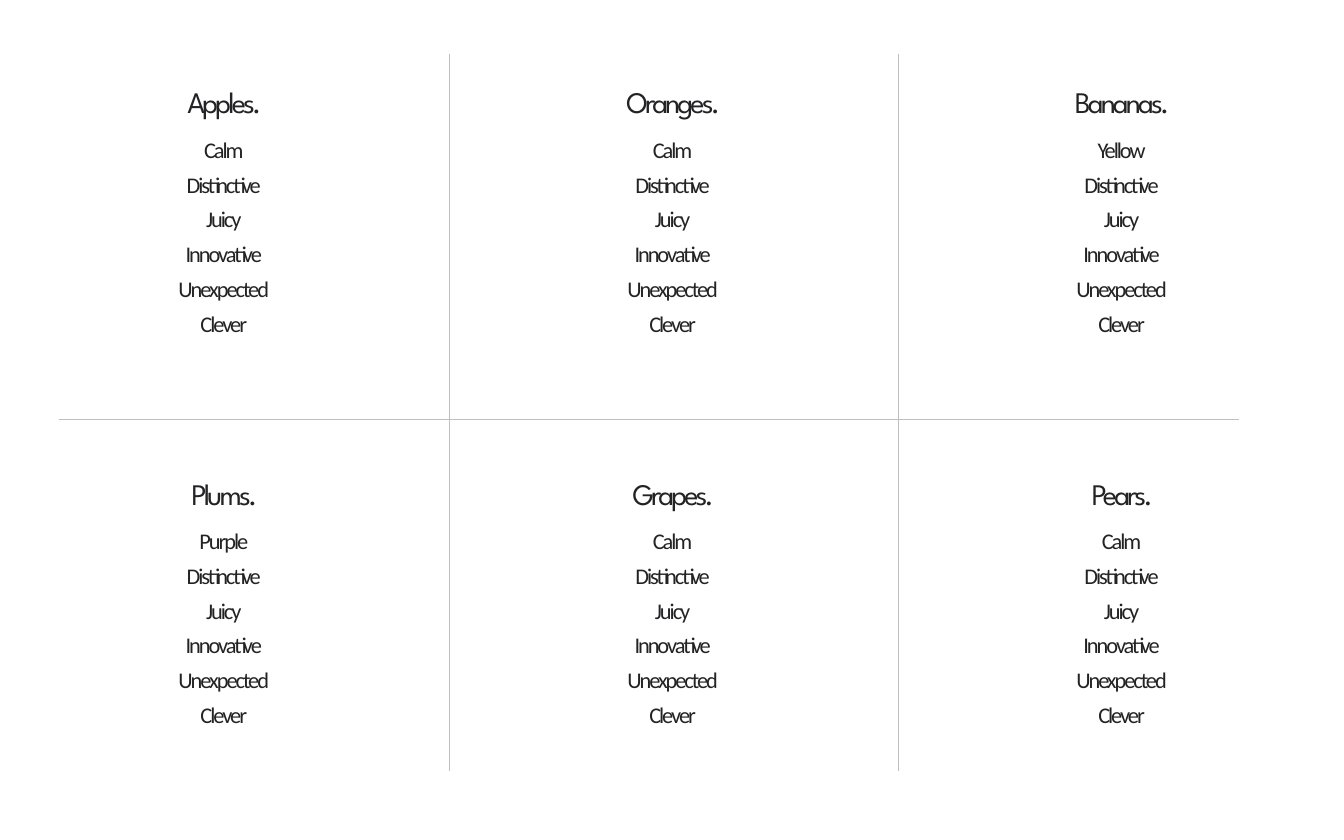
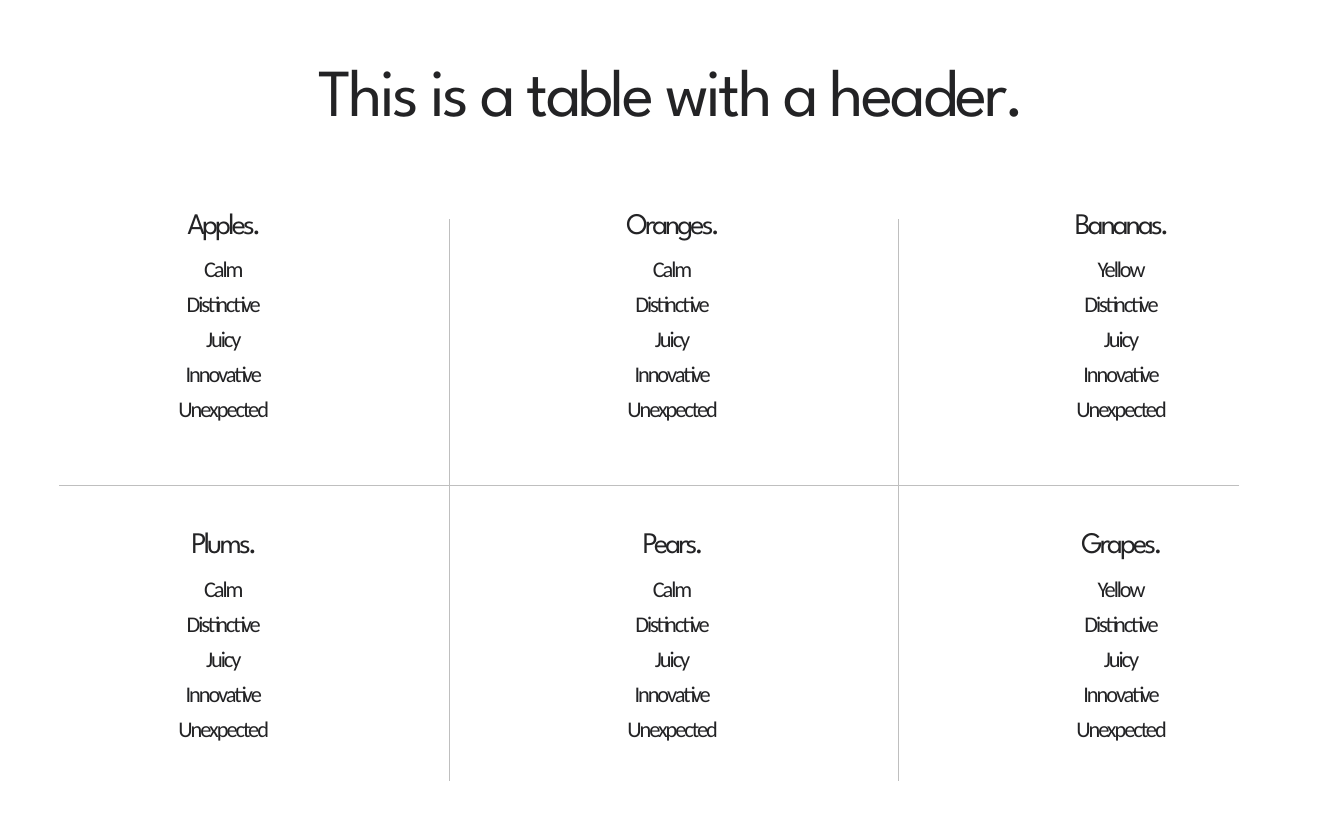
from pptx import Presentation
from pptx.dml.color import RGBColor
from pptx.enum.shapes import MSO_CONNECTOR
from pptx.enum.text import MSO_ANCHOR, MSO_AUTO_SIZE, PP_ALIGN
from pptx.oxml.ns import qn
from pptx.util import Inches, Pt
from lxml import etree

STRAIGHT = MSO_CONNECTOR.STRAIGHT
TOP = MSO_ANCHOR.TOP
NO_FIT = MSO_AUTO_SIZE.NONE
CENTER = PP_ALIGN.CENTER

INK, RULE = "232325", "BFBFBF"
HEAD_FONT, BODY_FONT = "League Spartan", "Calibri"
TITLE_ONLY, BLANK = 5, 6
COL_W = 3.34
LIST_INDENT, LIST_W = 0.32, 2.69
TRAITS = ["Distinctive", "Juicy", "Innovative", "Unexpected", "Clever"]


def write(sp, lines, box, font=HEAD_FONT, size=16, spacing=-1.5,
          line_spacing=1.0, side=0, top=0):
    """Place sp at box and fill it with centred lines; spacing is in points."""
    sp.left, sp.top, sp.width, sp.height = [Inches(v) for v in box]
    tf = sp.text_frame
    tf.word_wrap = True
    tf.auto_size = NO_FIT
    tf.vertical_anchor = TOP
    tf.margin_left = tf.margin_right = Inches(side)
    tf.margin_top, tf.margin_bottom = Inches(top), 0
    for i, line in enumerate(lines):
        p = tf.paragraphs[0] if i == 0 else tf.add_paragraph()
        p.alignment = CENTER
        p.line_spacing = line_spacing
        r = p.add_run()
        r.text = line
        r.font.name = font
        r.font.size = Pt(size)
        r.font.color.rgb = RGBColor.from_string(INK)
        r._r.get_or_add_rPr().set("spc", str(round(spacing * 100)))


def add_rule(slide, x1, y1, x2, y2):
    line = slide.shapes.add_connector(
        STRAIGHT, Inches(x1), Inches(y1), Inches(x2), Inches(y2))
    line.line.color.rgb = RGBColor.from_string(RULE)
    line.line.width = Pt(0.25)
    etree.SubElement(line._element.spPr, qn("a:effectLst"))


# Each fruit comes with its first trait; the rest of the list is shared.
grids = [
    dict(title=None, rule_top=0.4, rule_bottom=5.74, middle=3.12,
         head_tops=(0.57, 3.49), list_tops=(0.95, 3.86), list_h=2.18,
         side=0.1, top=0.05, traits=TRAITS,
         fruits=[[("Apples.", "Calm"), ("Oranges.", "Calm"), ("Bananas.", "Yellow")],
                 [("Plums.", "Purple"), ("Grapes.", "Calm"), ("Pears.", "Calm")]]),
    dict(title="This is a table with a header.",
         rule_top=1.63, rule_bottom=5.81, middle=3.61,
         head_tops=(1.52, 3.9), list_tops=(1.84, 4.22), list_h=1.83,
         side=0, top=0, traits=TRAITS[:-1],
         fruits=[[("Apples.", "Calm"), ("Oranges.", "Calm"), ("Bananas.", "Yellow")],
                 [("Plums.", "Calm"), ("Pears.", "Calm"), ("Grapes.", "Yellow")]]),
]

prs = Presentation()
prs.slide_width, prs.slide_height = Inches(10), Inches(6.25)

for grid in grids:
    layout = TITLE_ONLY if grid["title"] else BLANK
    slide = prs.slides.add_slide(prs.slide_layouts[layout])
    if grid["title"]:
        write(slide.shapes.title, [grid["title"]], (0, 0.37, 10, 0.87),
              size=36, side=0.1)

    for col in (2, 1):
        add_rule(slide, col * COL_W, grid["rule_top"], col * COL_W, grid["rule_bottom"])
    add_rule(slide, 9.22, grid["middle"], 0.44, grid["middle"])

    for row, head_y, list_y in zip(grid["fruits"], grid["head_tops"], grid["list_tops"]):
        for col, (fruit, first_trait) in enumerate(row):
            x = col * COL_W
            write(slide.shapes.add_textbox(0, 0, 0, 0), [first_trait] + grid["traits"],
                  (x + LIST_INDENT, list_y, LIST_W, grid["list_h"]),
                  font=BODY_FONT, size=12, spacing=-1.1, line_spacing=1.3)
            write(slide.shapes.add_textbox(0, 0, 0, 0), [fruit],
                  (x, head_y, COL_W, 0.34), side=grid["side"], top=grid["top"])

prs.save("out.pptx")
